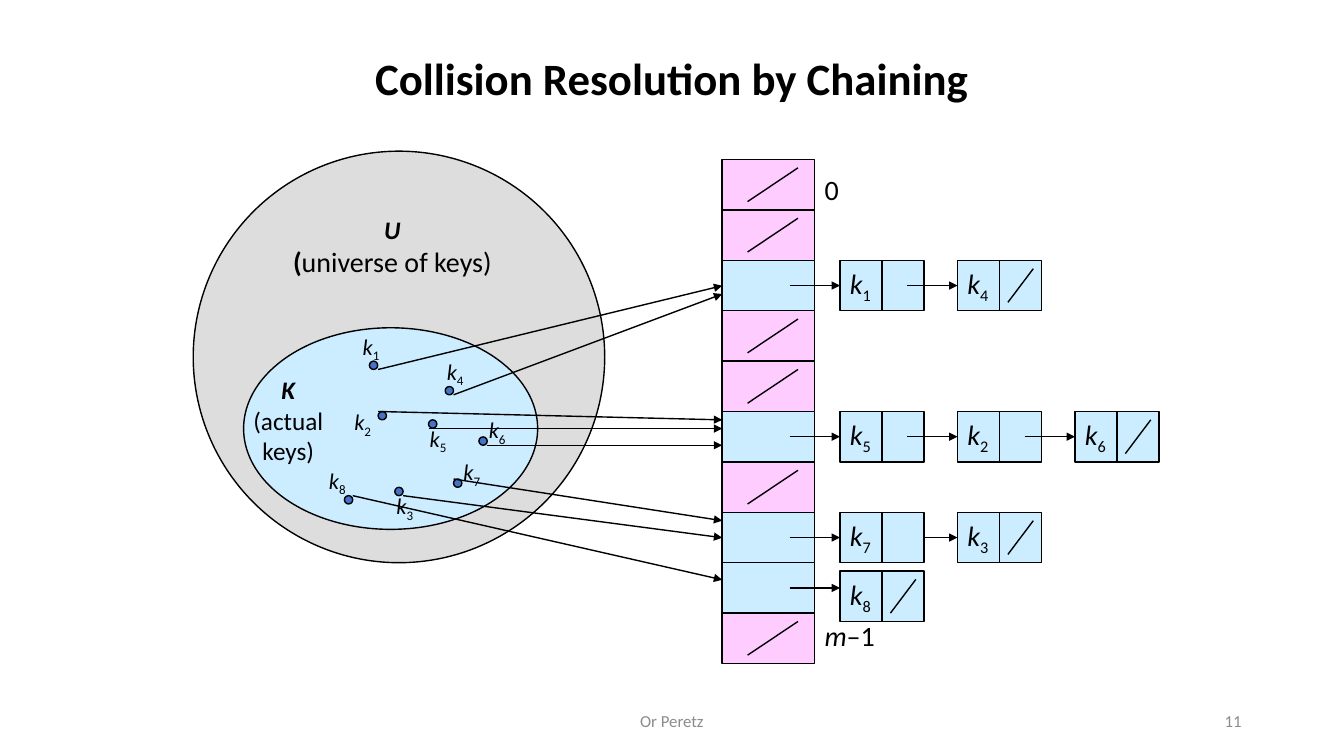
from lxml import etree
from pptx import Presentation
from pptx.dml.color import RGBColor
from pptx.enum.shapes import MSO_CONNECTOR, MSO_SHAPE
from pptx.enum.text import MSO_ANCHOR, PP_ALIGN
from pptx.oxml.ns import qn
from pptx.util import Cm, Pt

RECT, OVAL = MSO_SHAPE.RECTANGLE, MSO_SHAPE.OVAL
STRAIGHT = MSO_CONNECTOR.STRAIGHT
LEFT, CENTER, RIGHT = PP_ALIGN.LEFT, PP_ALIGN.CENTER, PP_ALIGN.RIGHT
TOP, MIDDLE = MSO_ANCHOR.TOP, MSO_ANCHOR.MIDDLE
color = RGBColor.from_string

BLACK, MUTED = "000000", "8C8C8C"
PINK, SKY, SILVER, BLUE = "FFCCFF", "CCECFF", "DDDDDD", "4472C4"
PLAIN, BOLD, ITALIC = {}, {"bold": True}, {"italic": True}
SET_NAME = {"bold": True, "italic": True, "size": Pt(18)}
SUBSCRIPT = "-25000"

deck = Presentation()
deck.slide_width, deck.slide_height = Cm(33.87), Cm(19.05)
page = deck.slides.add_slide(deck.slide_layouts[6])


def add_box(at, kind=None, fill=None, paras=(), size=20, align=LEFT,
            anchor=TOP, wrap=False, ink=BLACK, subscript=None):
    """Add a filled shape, or a text box when no kind is given."""
    place = [Cm(value) for value in at]
    if kind is None:
        box = page.shapes.add_textbox(*place)
    else:
        box = page.shapes.add_shape(kind, *place)
        box.shadow.inherit = False
        box.fill.solid()
        box.fill.fore_color.rgb = color(fill)
        box.line.color.rgb = color(BLACK)
        box.line.width = Pt(1)
    frame = box.text_frame
    frame.word_wrap = wrap
    frame.vertical_anchor = anchor
    for index, runs in enumerate(paras):
        para = frame.paragraphs[0] if index == 0 else frame.add_paragraph()
        para.alignment = align
        for text, style in runs:
            span = para.add_run()
            span.text = text
            span.font.color.rgb = color(ink)
            for name, value in {"name": "Calibri", "size": Pt(size), **style}.items():
                setattr(span.font, name, value)
        if subscript:
            span = para.add_run()
            span.text = str(subscript)
            span.font.name, span.font.size = "Calibri", Pt(size)
            span.font.color.rgb = color(ink)
            span.font._element.set("baseline", SUBSCRIPT)
    return box


def add_line(x1, y1, x2, y2, arrow=False):
    """Add a thin black line, with an arrowhead at its end if asked."""
    line = page.shapes.add_connector(STRAIGHT, Cm(x1), Cm(y1), Cm(x2), Cm(y2))
    line.line.color.rgb = color(BLACK)
    line.line.width = Pt(1)
    properties = line._element.spPr
    if arrow:
        etree.SubElement(properties.find(qn("a:ln")), qn("a:tailEnd"), type="triangle")
    etree.SubElement(properties, qn("a:effectLst"))


# Title
title = add_box((2.33, -0.21, 29.21, 3.68), size=32, align=CENTER, anchor=MIDDLE,
                wrap=True, paras=[[("Collision Resolution by Chaining", BOLD)]])
title.text_frame.paragraphs[0].line_spacing = 1.5

# Universe of keys and the actual keys inside it
add_box((4.87, 3.81, 10.37, 10.37), OVAL, SILVER)
add_box((6.14, 8.26, 7.41, 5.08), OVAL, SKY)
add_box((7.11, 5.28, 5.56, 1.88), align=CENTER,
        paras=[[("U", SET_NAME)], [("(", BOLD), ("universe of keys)", PLAIN)]])
add_box((6.12, 9.32, 2.29, 2.57), size=18, align=CENTER,
        paras=[[("K", SET_NAME)], [("(actual", PLAIN)], [("keys)", PLAIN)]])

# Hash table: slot number -> keys chained there
TABLE_LEFT, TABLE_TOP, SLOT_WIDTH, SLOT_HEIGHT = 18.2, 4.02, 2.33, 1.27
SLOT_COUNT = 10
CHAINS = {2: [1, 4], 5: [5, 2, 6], 7: [7, 3], 8: [8]}
for slot in range(SLOT_COUNT):
    top = TABLE_TOP + slot * SLOT_HEIGHT
    add_box((TABLE_LEFT, top, SLOT_WIDTH, SLOT_HEIGHT), RECT,
            SKY if slot in CHAINS else PINK)
    if slot not in CHAINS:
        add_line(TABLE_LEFT + 1.91, top + 0.21, TABLE_LEFT + 0.64, top + 1.06)

# First and last index
add_box((20.53, 4.23, 0.86, 1.12), paras=[[("0", PLAIN)]])
add_box((20.53, 15.45, 1.8, 1.12), paras=[[("m", ITALIC), ("–1", PLAIN)]])

# Keys: number, dot, label, arrow start, height of the arrow end
KEYS = [
    (1, (9.31, 9.1), (8.89, 8.26), (9.53, 9.31), 7.2),
    (4, (11.22, 9.74), (11.01, 8.89), (11.43, 9.95), 7.41),
    (2, (9.53, 10.37), (8.68, 10.16), (9.53, 10.37), 10.58),
    (5, (10.8, 10.58), (10.58, 10.58), (10.8, 10.8), 10.8),
    (6, (12.07, 11.01), (12.07, 10.37), (12.28, 11.22), 11.22),
    (7, (11.43, 12.07), (11.43, 11.43), (11.43, 12.07), 13.12),
    (3, (9.95, 12.28), (9.74, 12.28), (10.16, 12.49), 13.55),
    (8, (8.68, 12.49), (8.04, 11.64), (8.89, 12.49), 14.61),
]
for key, dot, label, start, end_height in KEYS:
    add_box((*dot, 0.21, 0.21), OVAL, BLUE)
    add_box((*label, 0.97, 0.94), size=16, paras=[[("k", ITALIC)]], subscript=key)
    add_line(*start, TABLE_LEFT, end_height, arrow=True)

# Chains of nodes
NODE_LEFT, NODE_STEP, NODE_WIDTH = 21.17, 2.96, 2.12
for slot, chain in CHAINS.items():
    slot_top = TABLE_TOP + slot * SLOT_HEIGHT
    middle = slot_top + SLOT_HEIGHT / 2
    top = slot_top + (0.21 if slot == 8 else 0)
    link_start = 19.9
    for index, key in enumerate(chain):
        left = NODE_LEFT + index * NODE_STEP
        add_box((left, top, NODE_WIDTH, SLOT_HEIGHT), RECT, SKY, anchor=MIDDLE,
                paras=[[("k", ITALIC)]], subscript=key)
        add_line(left + 1.06, top, left + 1.06, top + SLOT_HEIGHT)
        add_line(link_start, middle, left, middle, arrow=True)
        link_start = left + (NODE_WIDTH if slot == 7 else 1.69)
    add_line(left + 1.91, top + 0.21, left + 1.27, top + 1.06)

# Footer
for at, text, align in [((11.22, 17.66, 11.43, 1.01), "Or Peretz", CENTER),
                        ((23.92, 17.66, 7.62, 1.01), "11", RIGHT)]:
    add_box(at, paras=[[(text, PLAIN)]], size=12, align=align, anchor=MIDDLE,
            wrap=True, ink=MUTED)

deck.save("out.pptx")
